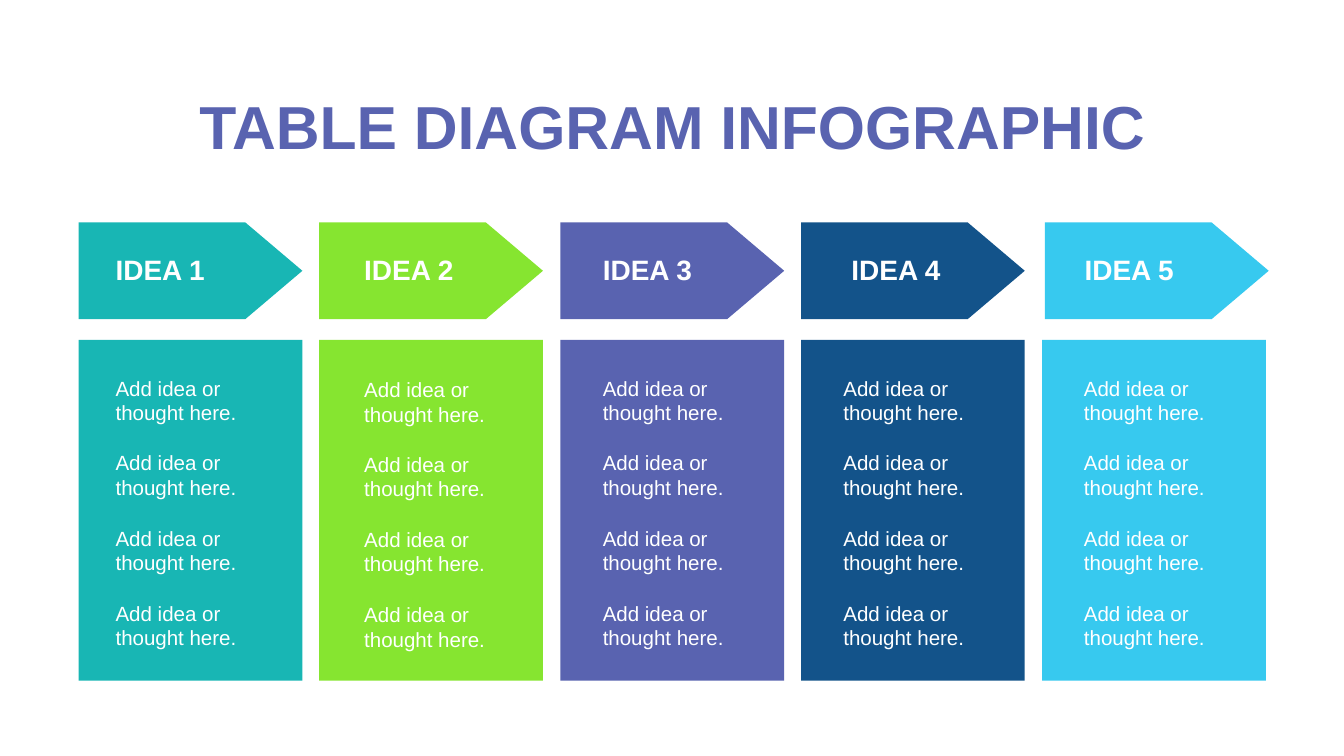
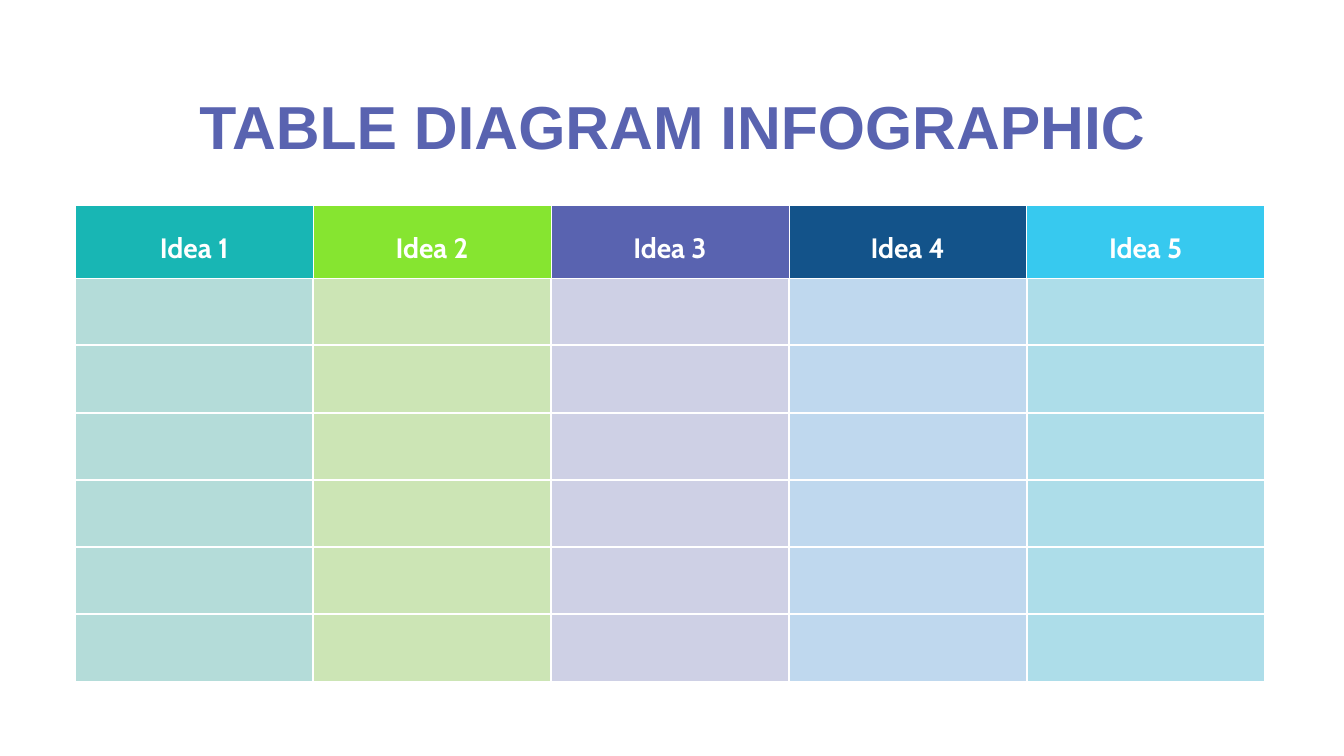
"""Build two infographic slides that set five ideas side by side."""
from dataclasses import dataclass

from lxml import etree
from pptx import Presentation
from pptx.dml.color import RGBColor
from pptx.enum.shapes import MSO_SHAPE
from pptx.enum.text import MSO_ANCHOR, MSO_AUTO_SIZE, PP_ALIGN
from pptx.oxml.ns import qn
from pptx.presentation import Presentation as Deck
from pptx.shapes.autoshape import Shape
from pptx.slide import Slide
from pptx.table import _Cell
from pptx.text.text import TextFrame, _Paragraph
from pptx.util import Emu, Pt

ARROW = MSO_SHAPE.PENTAGON
RECTANGLE = MSO_SHAPE.RECTANGLE
TOP, MIDDLE = MSO_ANCHOR.TOP, MSO_ANCHOR.MIDDLE
GROW = MSO_AUTO_SIZE.SHAPE_TO_FIT_TEXT
CENTER = PP_ALIGN.CENTER

EMU_PER_PX = 9144
TITLE_ONLY = 5
TITLE = "TABLE DIAGRAM INFOGRAPHIC"
NOTE = "Add idea or thought here."
NOTE_COUNT = 4
BODY_ROWS = 6


@dataclass(frozen=True)
class Theme:
    """Colours, fonts, type sizes and border widths of the deck."""

    title_color: str = "5963B0"
    light: str = "FFFFFF"
    font: str = "Arial"
    table_font: str = "Cabin"
    title_size: int = 65
    heading_size: int = 30
    note_size: int = 22
    thin: float = 0.75
    thick: float = 2.25


@dataclass(frozen=True)
class Box:
    """A rectangle in px."""

    left: int
    top: int
    width: int
    height: int

    def emu(self) -> tuple[Emu, Emu, Emu, Emu]:
        """Return the four lengths in EMU."""
        return px(self.left), px(self.top), px(self.width), px(self.height)


@dataclass(frozen=True)
class Idea:
    """One idea with its colours and the places of its parts in px."""

    number: int
    fill: str
    tint: str
    label_left: int
    note_left: int
    note_drop: int = 0
    arrow_shift: int = 0

    @property
    def left(self) -> int:
        """Return the left edge of the column."""
        return 117 + (self.number - 1) * 717 // 2


THEME = Theme()
IDEAS = (
    Idea(1, "18B6B4", "B4DCD9", 172, 172),
    Idea(2, "86E530", "CCE5B5", 542, 542, note_drop=2),
    Idea(3, "5963B0", "CED0E5", 897, 897),
    Idea(4, "13538A", "BFD8EE", 1267, 1255),
    Idea(5, "37C9EF", "ADDDE9", 1614, 1613, arrow_shift=4),
)


def px(length: int) -> Emu:
    """Turn px into EMU."""
    return Emu(length * EMU_PER_PX)


def style_text(paragraph: _Paragraph, size: int, bold: bool = False,
               color: str = THEME.light, font: str = THEME.font) -> None:
    """Set the font of a whole paragraph."""
    paragraph.font.name = font
    paragraph.font.size = Pt(size)
    paragraph.font.bold = bold
    paragraph.font.color.rgb = RGBColor.from_string(color)


def prepare_frame(frame: TextFrame) -> None:
    """Make a text frame wrap, grow and start at its edges."""
    frame.margin_left = frame.margin_right = 0
    frame.margin_top = frame.margin_bottom = 0
    frame.vertical_anchor = TOP
    frame.word_wrap = True
    frame.auto_size = GROW


def add_titled_slide(deck: Deck) -> Slide:
    """Add a slide with the shared title."""
    slide = deck.slides.add_slide(deck.slide_layouts[TITLE_ONLY])
    title = slide.shapes.title
    title.left, title.top, title.width, title.height = Box(82, 122, 1838, 101).emu()
    prepare_frame(title.text_frame)
    paragraph = title.text_frame.paragraphs[0]
    paragraph.text = TITLE
    paragraph.alignment = CENTER
    paragraph.line_spacing = 1.1
    style_text(paragraph, THEME.title_size, True, THEME.title_color)
    return slide


def add_block(slide: Slide, kind: MSO_SHAPE, box: Box, fill: str) -> Shape:
    """Add a filled shape without outline or shadow."""
    block = slide.shapes.add_shape(kind, *box.emu())
    block.shadow.inherit = False
    block.fill.solid()
    block.fill.fore_color.rgb = RGBColor.from_string(fill)
    block.line.fill.background()
    return block


def add_text(slide: Slide, box: Box, text: str, size: int, bold: bool = False) -> None:
    """Add a light line of text."""
    frame = slide.shapes.add_textbox(*box.emu()).text_frame
    prepare_frame(frame)
    paragraph = frame.paragraphs[0]
    paragraph.text = text
    style_text(paragraph, size, bold)


def add_idea_column(slide: Slide, idea: Idea) -> None:
    """Add the arrow, the panel and the notes of one idea."""
    arrow_box = Box(idea.left + idea.arrow_shift, 331, 333, 144)
    arrow = add_block(slide, ARROW, arrow_box, idea.fill)
    arrow.adjustments[0] = 0.59
    add_text(slide, Box(idea.label_left, 376, 199, 50), f"IDEA {idea.number}",
             THEME.heading_size, True)
    add_block(slide, RECTANGLE, Box(idea.left, 506, 333, 507), idea.fill)
    for index in range(NOTE_COUNT):
        top = 559 + idea.note_drop + index * 335 // 3
        add_text(slide, Box(idea.note_left, top, 199, 74), NOTE, THEME.note_size)


def paint_cell(cell: _Cell, fill: str, borders: dict[str, float]) -> None:
    """Give a cell its borders and its fill."""
    properties = cell._tc.get_or_add_tcPr()
    for side, width in borders.items():
        line = etree.SubElement(properties, qn(f"a:ln{side}"), w=str(Pt(width)))
        solid = etree.SubElement(line, qn("a:solidFill"))
        etree.SubElement(solid, qn("a:srgbClr"), val=THEME.light)
    cell.fill.solid()
    cell.fill.fore_color.rgb = RGBColor.from_string(fill)


def fill_heading(cell: _Cell, idea: Idea) -> None:
    """Write the name of an idea into its heading cell."""
    cell.margin_left = cell.margin_right = px(19)
    cell.margin_top = cell.margin_bottom = px(19)
    cell.vertical_anchor = MIDDLE
    paragraph = cell.text_frame.paragraphs[0]
    paragraph.text = f"Idea {idea.number}"
    paragraph.alignment = CENTER
    paragraph.line_spacing = 1.4
    style_text(paragraph, THEME.heading_size, True, font=THEME.table_font)


def body_borders(row: int, column: int) -> dict[str, float]:
    """Return thin borders at the outer edges and thick ones inside."""
    at_edge = {
        "L": column == 0,
        "R": column == len(IDEAS) - 1,
        "T": row == 1,
        "B": row == BODY_ROWS,
    }
    return {side: THEME.thin if edge else THEME.thick for side, edge in at_edge.items()}


def add_idea_table(slide: Slide) -> None:
    """Add the table with one column for each idea."""
    row_heights = [109] + [100] * BODY_ROWS
    box = Box(112, 305, 354 * len(IDEAS), sum(row_heights))
    table = slide.shapes.add_table(len(row_heights), len(IDEAS), *box.emu()).table
    table.horz_banding = False
    for row, height in zip(table.rows, row_heights):
        row.height = px(height)
    for column, idea in enumerate(IDEAS):
        heading = table.cell(0, column)
        paint_cell(heading, idea.fill, dict.fromkeys("LRTB", THEME.thin))
        fill_heading(heading, idea)
        for row in range(1, BODY_ROWS + 1):
            paint_cell(table.cell(row, column), idea.tint, body_borders(row, column))


def main() -> None:
    """Build and save the deck."""
    deck = Presentation()
    deck.slide_width, deck.slide_height = px(2000), px(1125)
    arrow_slide = add_titled_slide(deck)
    for idea in IDEAS:
        add_idea_column(arrow_slide, idea)
    add_idea_table(add_titled_slide(deck))
    deck.save("out.pptx")


if __name__ == "__main__":
    main()
